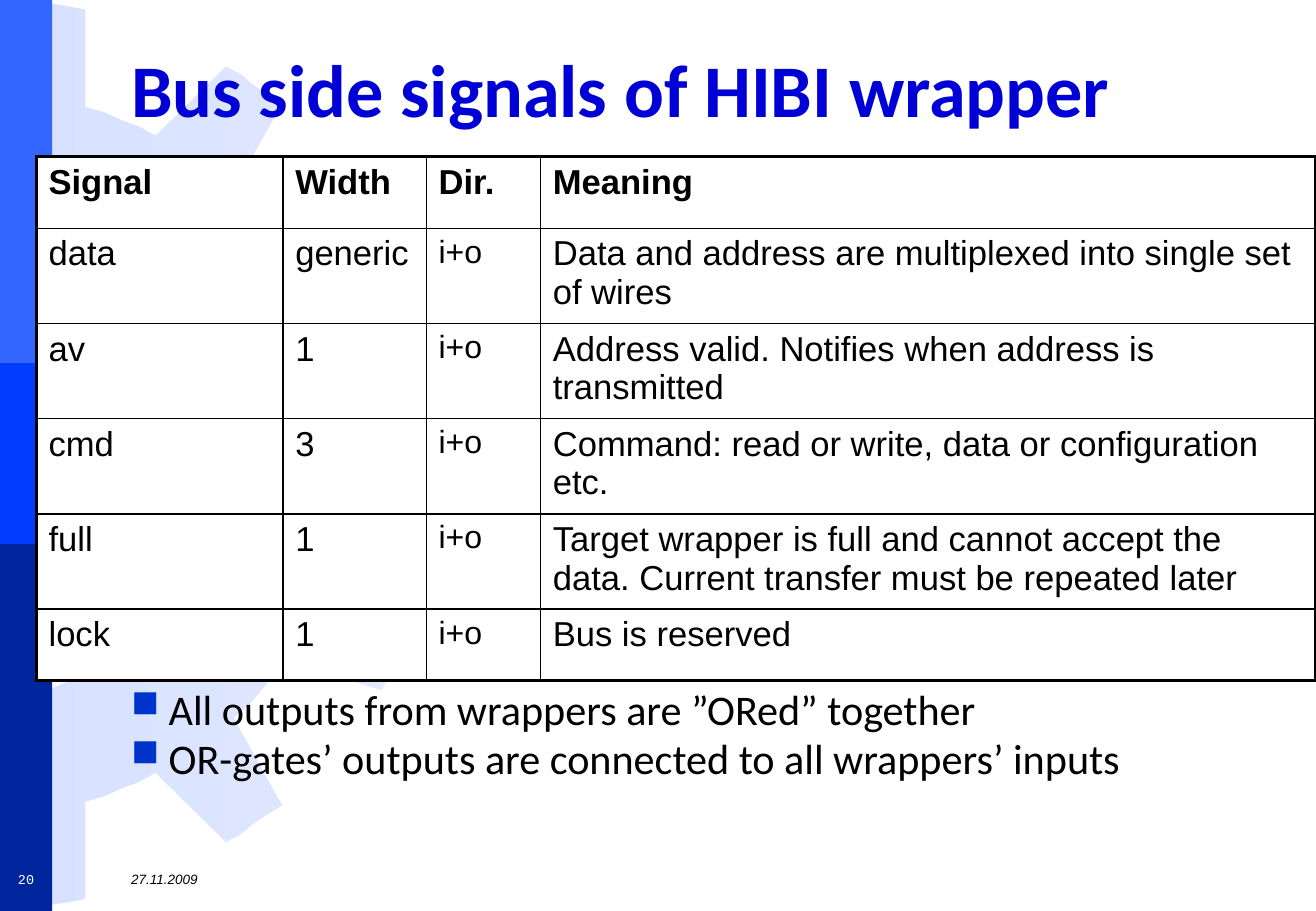
from lxml.etree import SubElement
from pptx import Presentation
from pptx.dml.color import RGBColor
from pptx.enum.shapes import MSO_SHAPE as SHAPE
from pptx.enum.text import MSO_ANCHOR as ANCHOR, PP_ALIGN as ALIGN
from pptx.oxml.ns import qn
from pptx.util import Inches, Pt

COLORS = {
    "title": "0000D6", "text": "000000", "bullet": "0033CC", "white": "FFFFFF",
    "bar_top": "3366FF", "bar_middle": "003CFC", "bar_bottom": "00259C",
    "gear_left": "D7E1FF", "gear_right": "E3EAFF",
}

# Upper half of the gear outline; the lower half mirrors it
GEAR_AXIS = 3.74
GEAR_HALF = [
    (0, 2.99), (1.73, 2.99), (1.67, 2.86), (1.6, 2.76), (1.55, 2.64), (1.47, 2.53),
    (1.39, 2.42), (1.3, 2.34), (1.19, 2.26), (1.11, 2.16), (1, 2.09), (0.89, 2.01),
    (0.78, 1.96), (0.65, 1.91), (0.54, 1.86), (0.42, 1.81), (0.28, 1.8), (0.14, 1.76),
    (0.14, 0), (0.29, 0.01), (0.42, 0.03), (0.55, 0.05), (0.7, 0.08), (0.7, 0.88),
    (0.87, 0.93), (1, 0.99), (1.14, 1.04), (1.28, 1.12), (1.86, 0.55), (1.99, 0.62),
    (2.08, 0.7), (2.19, 0.77), (2.32, 0.85), (1.92, 1.57), (2.06, 1.69), (2.15, 1.8),
    (2.25, 1.92), (2.36, 2.05), (3.14, 1.8), (3.2, 1.92), (3.27, 2.04), (3.33, 2.14),
    (3.38, 2.27), (2.73, 2.73), (2.75, 2.91), (2.81, 3.05), (2.83, 3.2), (2.86, 3.34),
    (3.67, 3.47), (3.7, 3.59),
]

BAR_WIDTH = 0.43
BARS = [(0, 3.05, "bar_top"), (4.46, 3.04, "bar_bottom"), (2.99, 1.49, "bar_middle")]

COLUMN_WIDTHS = [2.03, 1.18, 0.94, 6.38]
ROW_HEIGHT = 0.59
SIGNALS = [
    ("Signal", "Width", "Dir.", "Meaning"),
    ("data", "generic", "i+o", "Data and address are multiplexed into single set of wires"),
    ("av", "1", "i+o", "Address valid. Notifies when address is transmitted"),
    ("cmd", "3", "i+o", "Command: read or write, data or configuration etc."),
    ("full", "1", "i+o", "Target wrapper is full and cannot accept the data. "
                         "Current transfer must be repeated later"),
    ("lock", "1", "i+o", "Bus is reserved"),
]
NOTES = [
    "All outputs from wrappers are ”ORed” together",
    "OR-gates’ outputs are connected to all wrappers’ inputs",
]


def rgb(name):
    return RGBColor.from_string(COLORS[name])


def write(paragraph, text, size, font="Arial", color="text", bold=False, italic=False,
          align=ALIGN.LEFT, line_spacing=None, space_before=None):
    run = paragraph.add_run()
    run.text = text
    run.font.size, run.font.name = Pt(size), font
    run.font.bold, run.font.italic = bold, italic
    run.font.color.rgb = rgb(color)
    paragraph.alignment = align
    paragraph.line_spacing = line_spacing
    if space_before is not None:
        paragraph.space_before = Pt(space_before)


def add_frame(slide, left, top, width, height, anchor=ANCHOR.TOP, wrap=True):
    box = slide.shapes.add_textbox(Inches(left), Inches(top), Inches(width), Inches(height))
    frame = box.text_frame
    frame.word_wrap = wrap
    frame.vertical_anchor = anchor
    return frame


def add_gear(slide):
    lower_half = [(x, 2 * GEAR_AXIS - y) for x, y in reversed(GEAR_HALF)]
    points = [(Inches(x), Inches(y)) for x, y in GEAR_HALF + lower_half]
    outline = slide.shapes.build_freeform(*points[0])
    outline.add_line_segments(points[1:], close=True)
    gear = outline.convert_to_shape()
    gear.shadow.inherit = False
    gear.line.fill.background()
    gear.fill.gradient()
    gear.fill.gradient_angle = 0
    for stop, name in zip(gear.fill.gradient_stops, ("gear_left", "gear_right")):
        stop.color.rgb = rgb(name)


def add_bar(slide, top, height, color):
    bar = slide.shapes.add_shape(SHAPE.RECTANGLE, 0, Inches(top),
                                 Inches(BAR_WIDTH), Inches(height))
    bar.shadow.inherit = False
    bar.fill.solid()
    bar.fill.fore_color.rgb = rgb(color)
    bar.line.fill.background()


def set_borders(cell, widths):
    properties = cell._tc.get_or_add_tcPr()
    for side, width in widths.items():
        line = SubElement(properties, qn(f"a:ln{side}"), w=str(Pt(width)))
        fill = SubElement(line, qn("a:solidFill"))
        SubElement(fill, qn("a:srgbClr"), val=COLORS["text"])


def add_signal_table(slide):
    rows, columns = len(SIGNALS), len(COLUMN_WIDTHS)
    table = slide.shapes.add_table(rows, columns, Inches(0.3), Inches(1.29),
                                   Inches(sum(COLUMN_WIDTHS)),
                                   Inches(rows * ROW_HEIGHT)).table
    table.first_row = table.horz_banding = False
    for column, width in zip(table.columns, COLUMN_WIDTHS):
        column.width = Inches(width)
    for r, signal in enumerate(SIGNALS):
        table.rows[r].height = Inches(ROW_HEIGHT)
        for c, text in enumerate(signal):
            cell = table.cell(r, c)
            # Thick outer frame, thin inner grid
            outer = {"L": c == 0, "R": c == columns - 1, "T": r == 0, "B": r == rows - 1}
            set_borders(cell, {side: 2.25 if edge else 1 for side, edge in outer.items()})
            cell.fill.solid()
            cell.fill.fore_color.rgb = rgb("white")
            is_direction = r > 0 and c == 2
            write(cell.text_frame.paragraphs[0], text, 19 if is_direction else 20.5,
                  bold=r == 0)


def add_bullet(paragraph):
    properties = paragraph._p.get_or_add_pPr()
    properties.set("marL", str(Inches(0.31)))
    properties.set("indent", str(-Inches(0.31)))
    color = SubElement(properties, qn("a:buClr"))
    SubElement(color, qn("a:srgbClr"), val=COLORS["bullet"])
    SubElement(properties, qn("a:buSzPct"), val="90000")
    SubElement(properties, qn("a:buChar"), char="■")


def add_notes(slide):
    frame = add_frame(slide, 0.98, 5.66, 9.85, 1.26)
    for i, note in enumerate(NOTES):
        paragraph = frame.add_paragraph() if i else frame.paragraphs[0]
        write(paragraph, note, 25, font="Calibri", line_spacing=0.8, space_before=5)
        add_bullet(paragraph)


def main():
    deck = Presentation()
    deck.slide_width, deck.slide_height = Inches(10.83), Inches(7.5)
    slide = deck.slides.add_slide(deck.slide_layouts[6])

    # Background
    add_gear(slide)
    for top, height, color in BARS:
        add_bar(slide, top, height, color)

    # Title and content
    title = add_frame(slide, 0.98, 0.21, 9.39, 0.94, anchor=ANCHOR.BOTTOM)
    write(title.paragraphs[0], "Bus side signals of HIBI wrapper", 44, font="Calibri",
          color="title", bold=True, line_spacing=0.9)
    add_signal_table(slide)
    add_notes(slide)

    # Footer
    date = add_frame(slide, 0.98, 7.11, 9.39, 0.26, anchor=ANCHOR.MIDDLE, wrap=False)
    write(date.paragraphs[0], "27.11.2009", 8, italic=True)
    number = add_frame(slide, 0, 7.11, BAR_WIDTH, 0.26, anchor=ANCHOR.MIDDLE, wrap=False)
    write(number.paragraphs[0], "20", 8, font="Courier New", color="white",
          align=ALIGN.CENTER)

    deck.save("out.pptx")


if __name__ == "__main__":
    main()
